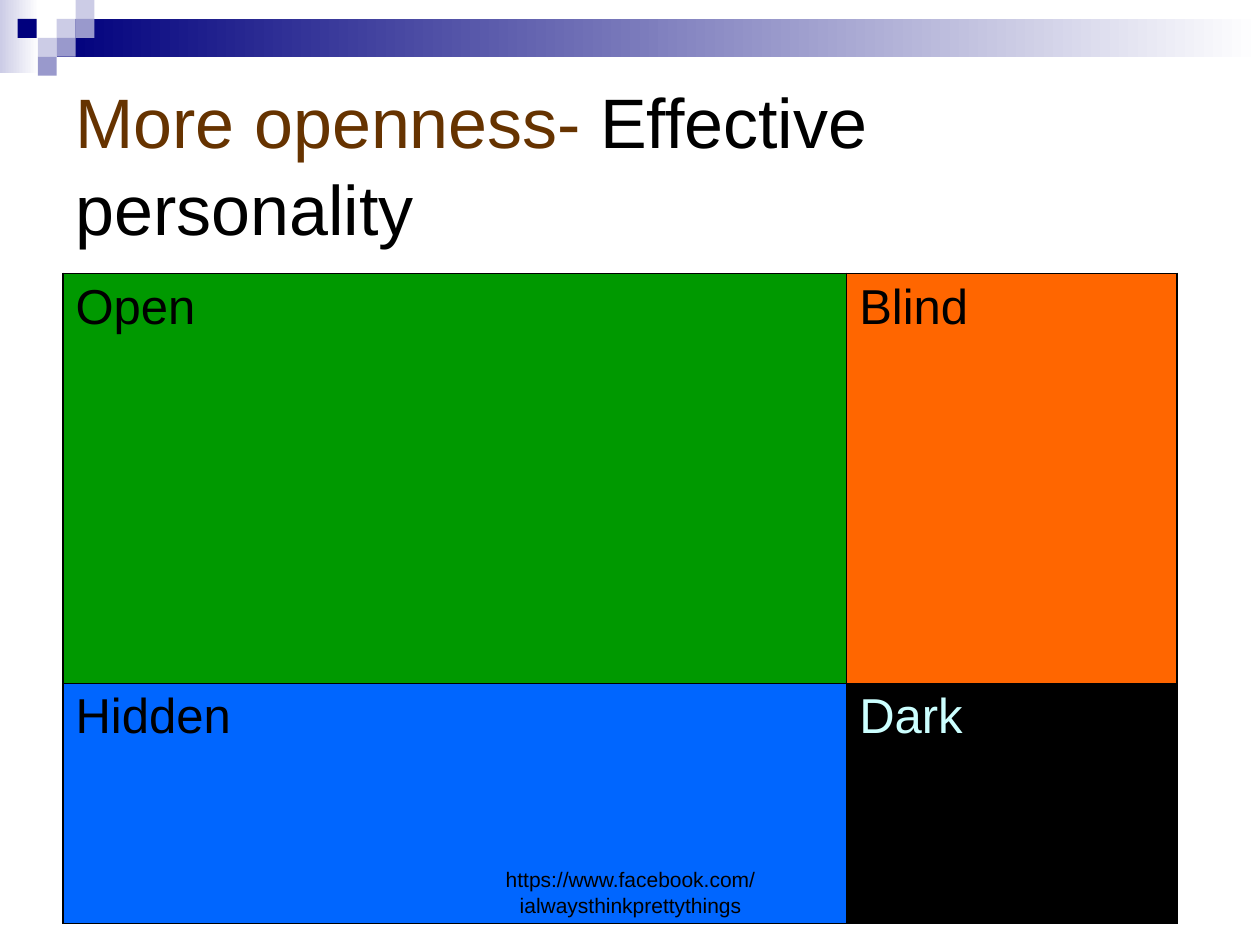
from dataclasses import dataclass

from lxml.etree import SubElement
from pptx import Presentation
from pptx.dml.color import RGBColor
from pptx.enum.shapes import MSO_SHAPE
from pptx.enum.text import MSO_ANCHOR, MSO_AUTO_SIZE, PP_ALIGN
from pptx.oxml.ns import qn
from pptx.util import Inches, Pt


@dataclass(frozen=True)
class Theme:
    font: str = "Arial"
    title_size: float = 40
    cell_size: float = 28
    footer_size: float = 12
    outer_line: float = 1.08
    inner_line: float = 0.45
    white: str = "FFFFFF"
    black: str = "000000"
    brown: str = "663300"
    navy: str = "00007D"
    lavender: str = "CCCCE6"
    violet: str = "9999CC"
    green: str = "009900"
    orange: str = "FF6600"
    blue: str = "0066FF"
    pale_cyan: str = "CCFFFF"


THEME = Theme()


def rgb(color):
    return RGBColor.from_string(color)


def add_run(paragraph, text, size, color):
    run = paragraph.add_run()
    run.text = text
    run.font.name = THEME.font
    run.font.size = Pt(size)
    run.font.color.rgb = rgb(color)


def add_block(slide, left, top, width, height, color, fade_to=None):
    """Borderless rectangle, plain or fading from left to right."""
    block = slide.shapes.add_shape(
        MSO_SHAPE.RECTANGLE, Inches(left), Inches(top), Inches(width), Inches(height))
    block.shadow.inherit = False
    block.line.fill.background()
    if fade_to is None:
        block.fill.solid()
        block.fill.fore_color.rgb = rgb(color)
        return
    block.fill.gradient()
    block.fill.gradient_angle = 0
    for stop, stop_color in zip(block.fill.gradient_stops, (color, fade_to)):
        stop.color.rgb = rgb(stop_color)


def add_banner(slide):
    add_block(slide, 0, 0, 0.31, 0.58, THEME.lavender, THEME.white)
    add_block(slide, 0.45, 0.15, 9.55, 0.3, THEME.navy, THEME.white)
    side = 0.15
    squares = [
        (0.45, 0.15, THEME.lavender), (0.6, 0, THEME.lavender),
        (0.6, 0.15, THEME.violet), (0.3, 0.3, THEME.lavender),
        (0.14, 0.15, THEME.navy), (0.45, 0.3, THEME.violet),
        (0.3, 0.45, THEME.violet),
    ]
    for left, top, color in squares:
        add_block(slide, left, top, side, side, color)


def fill_title(slide):
    title = slide.shapes.title
    title.left, title.top = Inches(0.5), Inches(0.5)
    title.width, title.height = Inches(9), Inches(1.5)
    frame = title.text_frame
    frame.auto_size = MSO_AUTO_SIZE.NONE
    frame.word_wrap = True
    frame.vertical_anchor = MSO_ANCHOR.MIDDLE
    frame.margin_top = Inches(0.13)
    paragraph = frame.paragraphs[0]
    paragraph.alignment = PP_ALIGN.LEFT
    paragraph.line_spacing = 1.04
    add_run(paragraph, "More openness-", THEME.title_size, THEME.brown)
    add_run(paragraph, " Effective personality", THEME.title_size, THEME.black)


def set_borders(cell, is_outer):
    """Draw the four cell edges, heavier where they bound the window."""
    properties = cell._tc.get_or_add_tcPr()
    for edge in ("L", "R", "T", "B"):
        width = THEME.outer_line if edge in is_outer else THEME.inner_line
        line = SubElement(properties, qn(f"a:ln{edge}"), w=str(int(Pt(width))))
        color = SubElement(line, qn("a:solidFill"))
        SubElement(color, qn("a:srgbClr"), val=THEME.black)


def add_window(slide):
    panes = [
        [("Open", THEME.green, THEME.black), ("Blind", THEME.orange, THEME.black)],
        [("Hidden", THEME.blue, THEME.black), ("Dark", THEME.black, THEME.pale_cyan)],
    ]
    window = slide.shapes.add_table(
        2, 2, Inches(0.5), Inches(2.17), Inches(8.83), Inches(5.17)).table
    window.first_row = False
    window.horz_banding = False
    for column, width in zip(window.columns, (6.22, 2.62)):
        column.width = Inches(width)
    for row, height in zip(window.rows, (3.25, 1.91)):
        row.height = Inches(height)
    for r, pane_row in enumerate(panes):
        for c, (label, color, text_color) in enumerate(pane_row):
            cell = window.cell(r, c)
            set_borders(cell, "TB"[r] + "LR"[c])
            cell.fill.solid()
            cell.fill.fore_color.rgb = rgb(color)
            add_run(cell.text_frame.paragraphs[0], label, THEME.cell_size, text_color)


def add_footer(slide):
    footer = slide.shapes.add_textbox(
        Inches(3.42), Inches(6.83), Inches(3.17), Inches(0.5))
    frame = footer.text_frame
    frame.word_wrap = True
    frame.vertical_anchor = MSO_ANCHOR.BOTTOM
    paragraph = frame.paragraphs[0]
    paragraph.alignment = PP_ALIGN.CENTER
    add_run(paragraph, "https://www.facebook.com/ialwaysthinkprettythings",
            THEME.footer_size, THEME.black)


def main():
    deck = Presentation()
    deck.slide_width, deck.slide_height = Inches(10), Inches(7.5)
    slide = deck.slides.add_slide(deck.slide_layouts[5])  # title only
    slide.background.fill.solid()
    slide.background.fill.fore_color.rgb = rgb(THEME.white)

    # Decorative band and heading
    add_banner(slide)
    fill_title(slide)

    # Four-pane window with the source address over it
    add_window(slide)
    add_footer(slide)

    deck.save("out.pptx")


if __name__ == "__main__":
    main()
